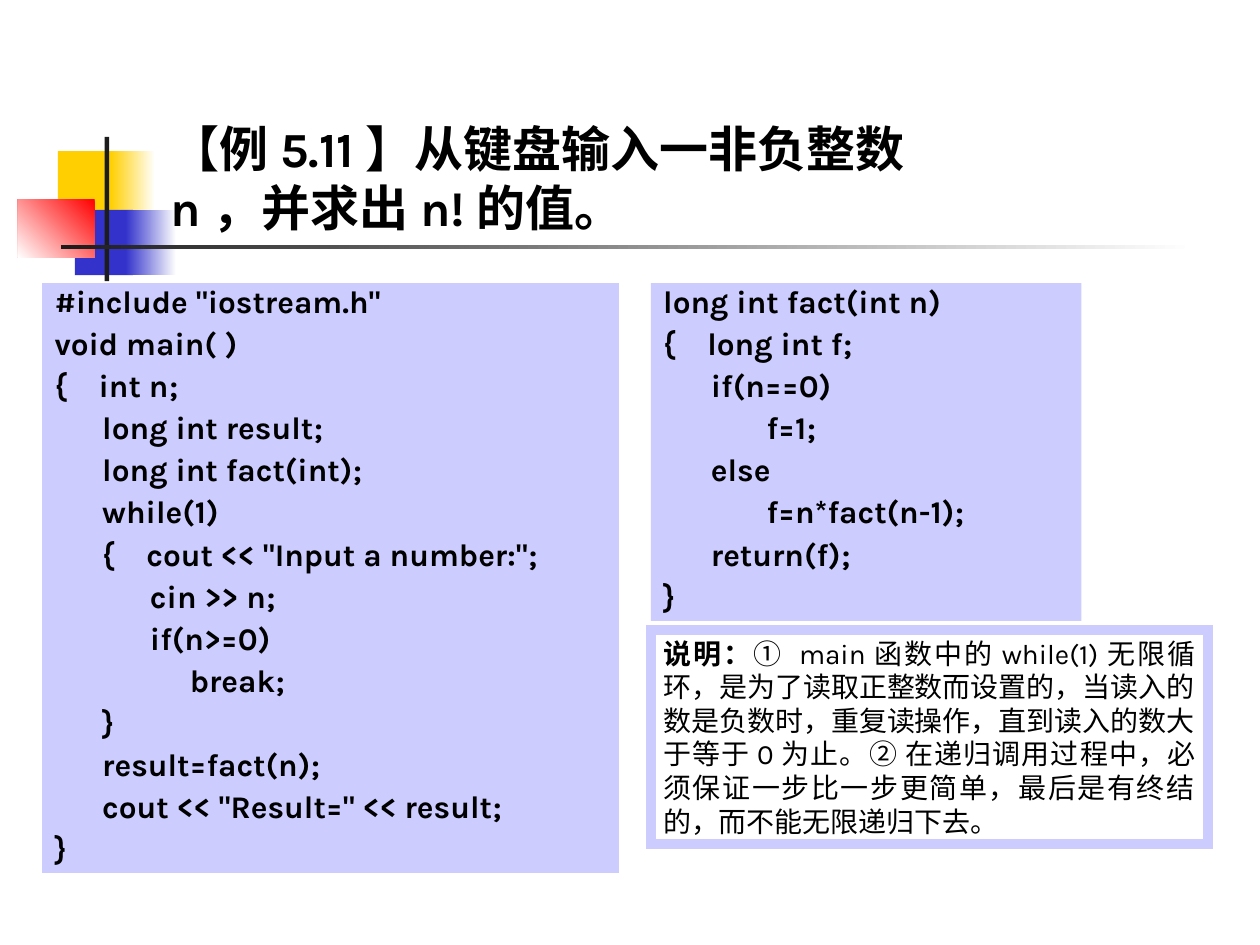
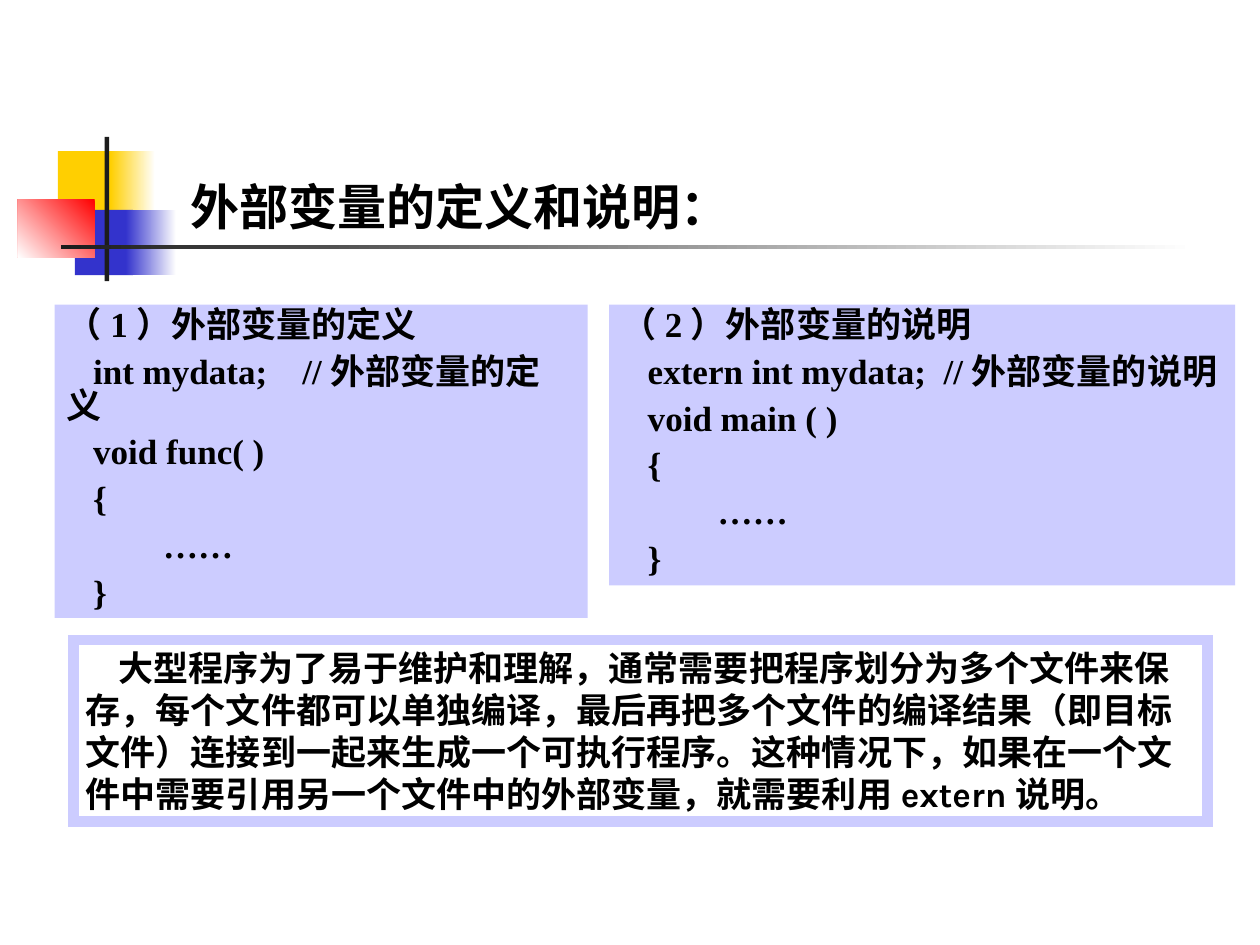
from dataclasses import dataclass
from itertools import groupby

from lxml.etree import SubElement
from pptx import Presentation
from pptx.dml.color import RGBColor
from pptx.enum.shapes import MSO_SHAPE
from pptx.enum.text import MSO_ANCHOR, PP_ALIGN
from pptx.oxml.ns import qn
from pptx.util import Cm, Pt


@dataclass(frozen=True)
class Theme:
    yellow: str = "FFCF01"
    blue: str = "3333CC"
    red: str = "FF0000"
    ink: str = "1C1C1C"
    white: str = "FFFFFF"
    text: str = "000000"
    panel: str = "CCCCFF"
    sans: str = "Karla"
    serif: str = "Times New Roman"
    chinese: str = "Noto Sans CJK SC"
    title_size: int = 28
    large_size: int = 20
    code_size: int = 18
    small_size: int = 16
    code_spacing: float = 0.8
    frame_width: int = 6


def is_chinese(char):
    return ord(char) >= 0x2E80


class Deck:
    def __init__(self, theme):
        self.theme = theme
        self.presentation = Presentation()
        self.presentation.slide_width = Cm(25.4)
        self.presentation.slide_height = Cm(19.05)
        self.slide = None

    def new_slide(self):
        self.slide = self.presentation.slides.add_slide(self.presentation.slide_layouts[6])
        self.ornament()

    def rectangle(self, area, fill=None, fade_to=None, angle=0):
        rectangle = self.slide.shapes.add_shape(MSO_SHAPE.RECTANGLE, *map(Cm, area))
        rectangle.shadow.inherit = False
        rectangle.line.fill.background()
        if fade_to:
            rectangle.fill.gradient()
            rectangle.fill.gradient_angle = angle
            for stop, color in zip(rectangle.fill.gradient_stops, (fill, fade_to)):
                stop.color.rgb = RGBColor.from_string(color)
        elif fill:
            rectangle.fill.solid()
            rectangle.fill.fore_color.rgb = RGBColor.from_string(fill)
        else:
            rectangle.fill.background()
        return rectangle

    def ornament(self):
        """Coloured squares and crossing rules beside the title."""
        theme = self.theme
        self.rectangle((1.17, 3.05, 1.22, 1.32), theme.yellow)
        self.rectangle((2.23, 3.05, 0.9, 1.32), theme.yellow, theme.white)
        self.rectangle((1.51, 4.23, 1.17, 1.32), theme.blue)
        self.rectangle((2.54, 4.23, 1.01, 1.32), theme.blue, theme.white)
        self.rectangle((0.36, 4.02, 1.55, 1.17), theme.red, theme.white, 225)
        self.rectangle((2.11, 2.76, 0.09, 2.91), theme.ink)
        self.rectangle((1.23, 4.94, 22.86, 0.09), theme.ink, theme.white)

    def add_text(self, paragraph, text, size, latin, bold=True):
        """Append text, with one run for each stretch of Chinese or Latin script."""
        for chinese, chars in groupby(text, is_chinese):
            run = paragraph.add_run()
            run.text = "".join(chars)
            run.font.size = Pt(size)
            run.font.bold = bold
            run.font.color.rgb = RGBColor.from_string(self.theme.text)
            run.font.name = self.theme.chinese if chinese else latin
            SubElement(run.font._element, qn("a:ea"), typeface=self.theme.chinese)

    def title(self, area, text):
        box = self.slide.shapes.add_textbox(*map(Cm, area))
        box.text_frame.word_wrap = True
        box.text_frame.vertical_anchor = MSO_ANCHOR.BOTTOM
        self.add_text(box.text_frame.paragraphs[0], text, self.theme.title_size, self.theme.sans)

    def code(self, area, lines, size, latin, gap, align=PP_ALIGN.LEFT):
        frame = self.rectangle(area, self.theme.panel).text_frame
        frame.word_wrap = True
        frame.vertical_anchor = MSO_ANCHOR.TOP
        for index, line in enumerate(lines.strip("\n").split("\n")):
            paragraph = frame.add_paragraph() if index else frame.paragraphs[0]
            paragraph.alignment = align
            paragraph.line_spacing = self.theme.code_spacing
            if index:
                paragraph.space_before = Pt(gap)
            self.add_text(paragraph, line, size, latin)

    def note(self, area, parts, size, align=PP_ALIGN.LEFT, indent=0):
        """Framed paragraph made of (text, bold) parts."""
        box = self.rectangle(area)
        box.line.color.rgb = RGBColor.from_string(self.theme.panel)
        box.line.width = Pt(self.theme.frame_width)
        SubElement(box.line._get_or_add_ln(), qn("a:miter"), lim="800000")
        box.text_frame.word_wrap = True
        box.text_frame.vertical_anchor = MSO_ANCHOR.TOP
        paragraph = box.text_frame.paragraphs[0]
        paragraph.alignment = align
        properties = paragraph._p.get_or_add_pPr()
        properties.set("hangingPunct", "0")
        properties.set("indent", str(Cm(indent)))
        for text, bold in parts:
            self.add_text(paragraph, text, size, self.theme.sans, bold)


MAIN_CODE = """
#include "iostream.h"
void main( )
{    int n;
      long int result;
      long int fact(int);
      while(1)
      {    cout << "Input a number:";
            cin >> n;
            if(n>=0)
                 break;
      }
      result=fact(n);
      cout << "Result=" << result;
}
"""

FACT_CODE = """
long int fact(int n)
{    long int f;
      if(n==0)
             f=1;
      else
             f=n*fact(n-1);
      return(f);
}
"""

DEFINITION_CODE = """
（1）外部变量的定义
   int mydata;    //外部变量的定义
   void func( )
   {
           ……
   }
"""

DECLARATION_CODE = """
（2）外部变量的说明
   extern int mydata;  //外部变量的说明
   void main ( )
   {
           ……
   }
"""


def factorial_slide(deck):
    deck.new_slide()
    deck.title((3.19, 1.7, 17.32, 3.18), "【例5.11】从键盘输入一非负整数n，并求出n!的值。")
    style = (deck.theme.code_size, deck.theme.sans, 6.75, PP_ALIGN.JUSTIFY)
    deck.code((0.85, 5.71, 11.63, 11.89), MAIN_CODE, *style)
    deck.code((13.12, 5.71, 8.68, 6.81), FACT_CODE, *style)
    explanation = (
        "① main函数中的while(1)无限循环，是为了读取正整数而设置的，"
        "当读入的数是负数时，重复读操作，直到读入的数大于等于0为止。"
        "② 在递归调用过程中，必须保证一步比一步更简单，"
        "最后是有终结的，而不能无限递归下去。"
    )
    deck.note((13.12, 12.7, 11.23, 4.32), [("说明：", True), (explanation, False)],
              deck.theme.small_size, PP_ALIGN.JUSTIFY)


def external_variable_slide(deck):
    deck.new_slide()
    deck.title((3.6, 3.39, 12.5, 1.47), "外部变量的定义和说明：")
    style = (deck.theme.large_size, deck.theme.serif, 7.5)
    deck.code((12.28, 6.14, 12.62, 5.66), DECLARATION_CODE, *style)
    deck.code((1.1, 6.14, 10.75, 6.32), DEFINITION_CODE, *style)
    usage = (
        "大型程序为了易于维护和理解，通常需要把程序划分为多个文件来保存，"
        "每个文件都可以单独编译，最后再把多个文件的编译结果（即目标文件）"
        "连接到一起来生成一个可执行程序。这种情况下，如果在一个文件中"
        "需要引用另一个文件中的外部变量，就需要利用extern说明。"
    )
    deck.note((1.48, 12.9, 22.86, 3.66), [(usage, True)], deck.theme.large_size, indent=0.65)


def main():
    deck = Deck(Theme())
    factorial_slide(deck)
    external_variable_slide(deck)
    deck.presentation.save("out.pptx")


if __name__ == "__main__":
    main()
